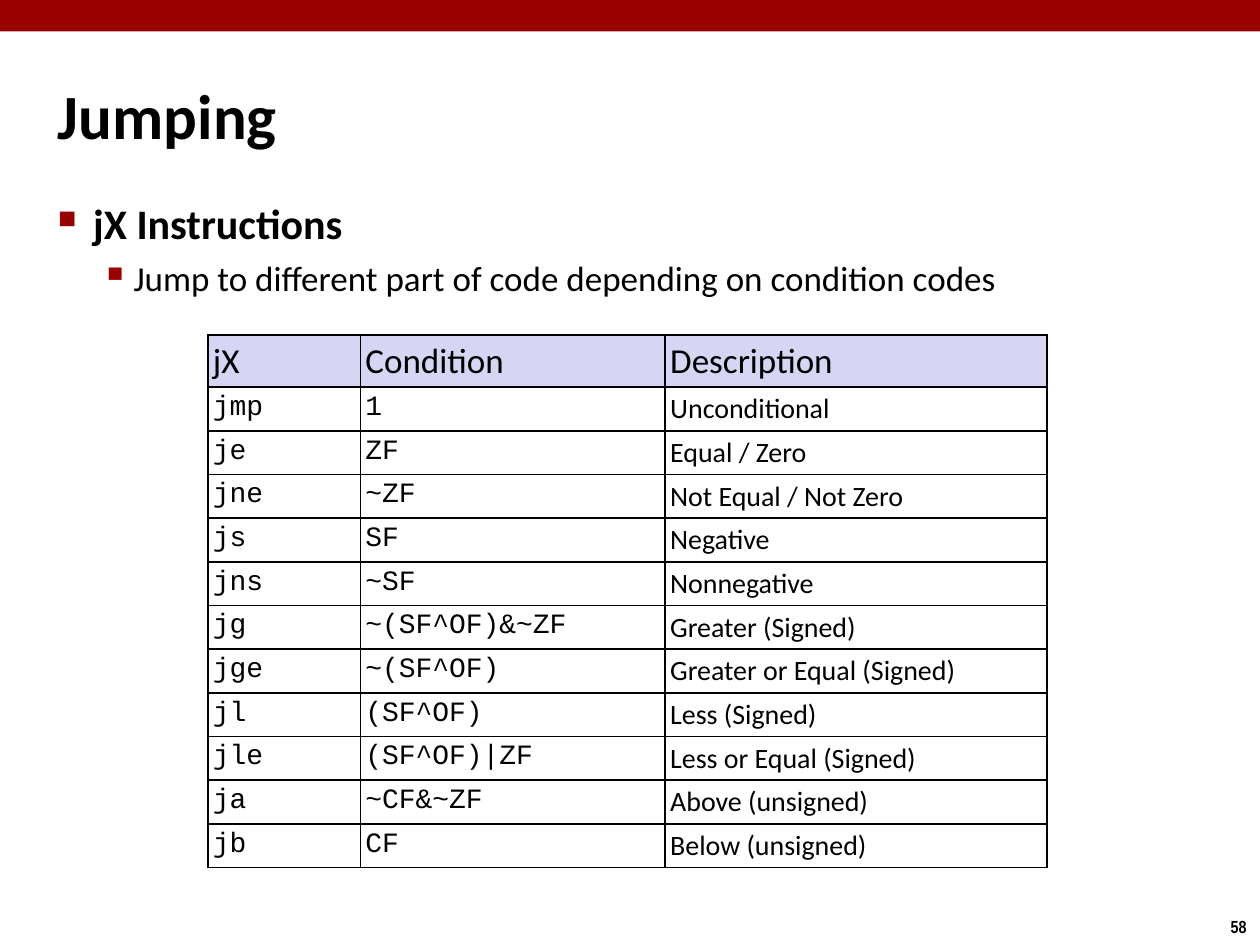
from lxml import etree
from pptx import Presentation, util as u
from pptx.dml.color import RGBColor
from pptx.enum import shapes, text
from pptx.oxml import ns

WIDTH, HEIGHT = 10, 7.5
LEFT, CONTENT_WIDTH = 0.42, 9.17
INSET = 0.04
RED, BLACK, LAVENDER = "990000", "000000", "D6D6F4"
SANS, MONO = "Calibri", "Courier New"
COLUMNS = [1.21, 2.42, 3.03]
HEADER_HEIGHT, ROW_HEIGHT = 0.41, 0.34
HEADER = ("jX", "Condition", "Description")
JUMPS = [
    ("jmp", "1", "Unconditional"),
    ("je", "ZF", "Equal / Zero"),
    ("jne", "~ZF", "Not Equal / Not Zero"),
    ("js", "SF", "Negative"),
    ("jns", "~SF", "Nonnegative"),
    ("jg", "~(SF^OF)&~ZF", "Greater (Signed)"),
    ("jge", "~(SF^OF)", "Greater or Equal (Signed)"),
    ("jl", "(SF^OF)", "Less (Signed)"),
    ("jle", "(SF^OF)|ZF", "Less or Equal (Signed)"),
    ("ja", "~CF&~ZF", "Above (unsigned)"),
    ("jb", "CF", "Below (unsigned)"),
]


def color(value):
    return RGBColor.from_string(value)


def inches(*lengths):
    return [u.Inches(length) for length in lengths]


def add_node(parent, tag, **attributes):
    return etree.SubElement(parent, ns.qn(tag), attributes)


def format_para(para, size, font=SANS, bold=False):
    for span in para.runs:
        span.font.size = u.Pt(size)
        span.font.name = font
        span.font.bold = bold
        span.font.color.rgb = color(BLACK)


def set_insets(target):
    target.margin_left = target.margin_right = u.Inches(INSET)
    target.margin_top = target.margin_bottom = u.Inches(INSET)


def hang(para, margin, hanging):
    properties = para._p.get_or_add_pPr()
    properties.set("marL", str(u.Inches(margin)))
    properties.set("indent", str(-u.Inches(hanging)))
    return properties


def add_bullet(para, symbol, percent, margin, hanging):
    properties = hang(para, margin, hanging)
    add_node(add_node(properties, "a:buClr"), "a:srgbClr", val=RED)
    add_node(properties, "a:buSzPct", val=str(percent * 1000))
    add_node(properties, "a:buChar", char=symbol)


def add_band(page):
    band = page.shapes.add_shape(
        shapes.MSO_SHAPE.RECTANGLE, *inches(0, 0, WIDTH, 0.25))
    band.shadow.inherit = False
    band.fill.solid()
    band.fill.fore_color.rgb = color(RED)
    band.line.fill.background()


def add_page_number(page, number):
    box = page.shapes.add_textbox(*inches(WIDTH - 0.34, 7.22, 0.34, 0.27))
    frame = box.text_frame
    frame.text = number
    frame.word_wrap = False
    para = frame.paragraphs[0]
    para.alignment = text.PP_ALIGN.CENTER
    format_para(para, 10, "Arial Narrow", True)


def set_title(page, wording):
    title = page.shapes.title
    title.left, title.top, title.width, title.height = inches(
        LEFT, 0.28, CONTENT_WIDTH, 1.25)
    frame = title.text_frame
    frame.text = wording
    frame.word_wrap = True
    frame.vertical_anchor = text.MSO_ANCHOR.MIDDLE
    set_insets(frame)
    para = frame.paragraphs[0]
    para.alignment = text.PP_ALIGN.LEFT
    hang(para, 0.13, 0.13)
    format_para(para, 36, bold=True)


def add_points(page, heading, detail):
    box = page.shapes.add_textbox(*inches(LEFT, 1.53, CONTENT_WIDTH, 0.94))
    frame = box.text_frame
    frame.word_wrap = True
    set_insets(frame)
    first, second = frame.paragraphs[0], frame.add_paragraph()
    first.text, second.text = heading, detail
    first.space_before, second.space_before = u.Pt(6), u.Pt(5)
    second.level = 1
    add_bullet(first, "■", 60, 0.28, 0.28)
    add_bullet(second, "▪", 110, 0.6, 0.26)
    format_para(first, 24, bold=True)
    format_para(second, 20)


def add_borders(cell):
    properties = cell._tc.get_or_add_tcPr()
    for side in "LRTB":
        line = add_node(properties, f"a:ln{side}", w=str(u.Pt(1)))
        add_node(add_node(line, "a:solidFill"), "a:srgbClr", val=BLACK)


def fill_cell(cell, wording, size, font, fill=None):
    set_insets(cell)
    add_borders(cell)
    if fill:
        cell.fill.solid()
        cell.fill.fore_color.rgb = color(fill)
    else:
        cell.fill.background()
    cell.text_frame.text = wording
    format_para(cell.text_frame.paragraphs[0], size, font)


def add_jump_table(page):
    height = HEADER_HEIGHT + ROW_HEIGHT * len(JUMPS)
    table = page.shapes.add_table(
        len(JUMPS) + 1, len(COLUMNS),
        *inches(1.65, 2.66, sum(COLUMNS), height)).table
    for column, width in zip(table.columns, COLUMNS):
        column.width = u.Inches(width)
    for row in table.rows:
        row.height = u.Inches(ROW_HEIGHT)
    table.rows[0].height = u.Inches(HEADER_HEIGHT)
    table.first_row = table.horz_banding = False
    for cell, wording in zip(table.rows[0].cells, HEADER):
        fill_cell(cell, wording, 20, SANS, LAVENDER)
    for index, jump in enumerate(JUMPS, 1):
        for cell, wording, font in zip(
                table.rows[index].cells, jump, (MONO, MONO, SANS)):
            fill_cell(cell, wording, 16, font)


def main():
    deck = Presentation()
    deck.slide_width, deck.slide_height = inches(WIDTH, HEIGHT)
    page = deck.slides.add_slide(deck.slide_layouts[5])
    add_page_number(page, "58")
    add_band(page)
    set_title(page, "Jumping")
    add_points(page, "jX Instructions",
               "Jump to different part of code depending on condition codes")
    add_jump_table(page)
    deck.save("out.pptx")


if __name__ == "__main__":
    main()
